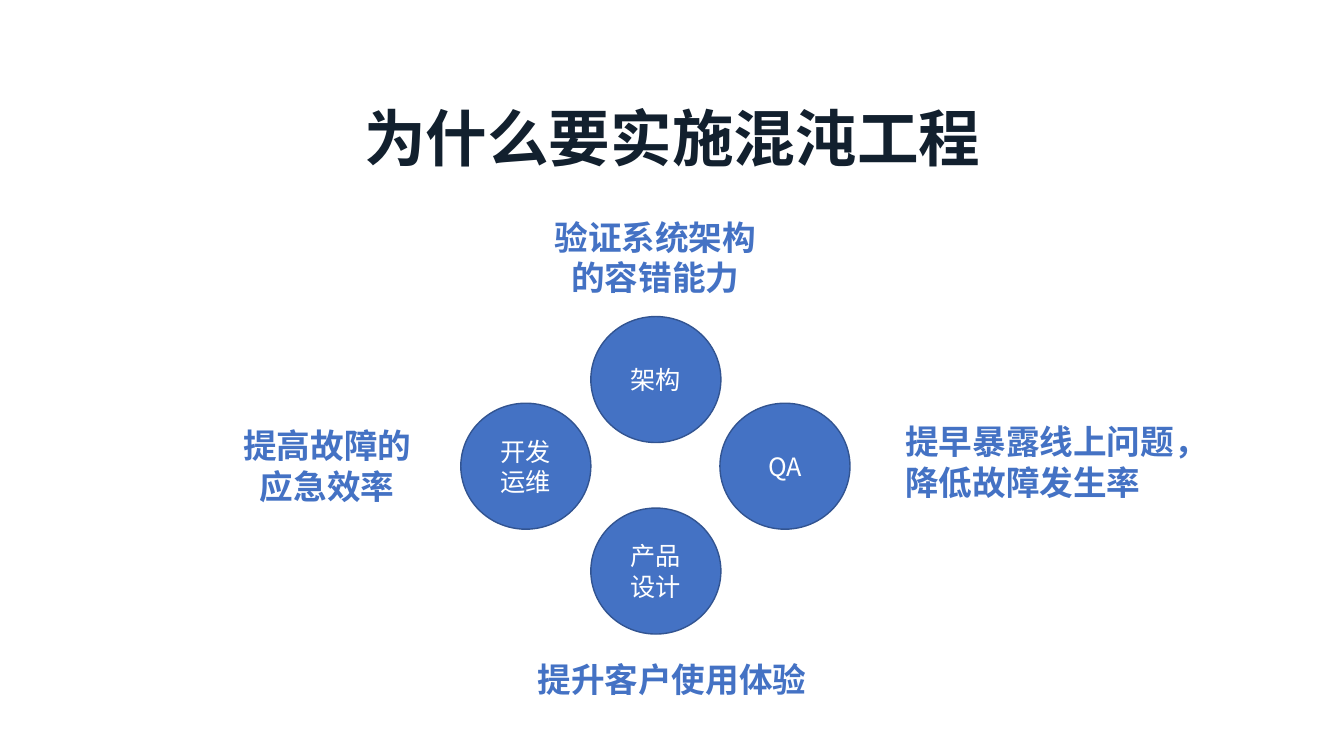
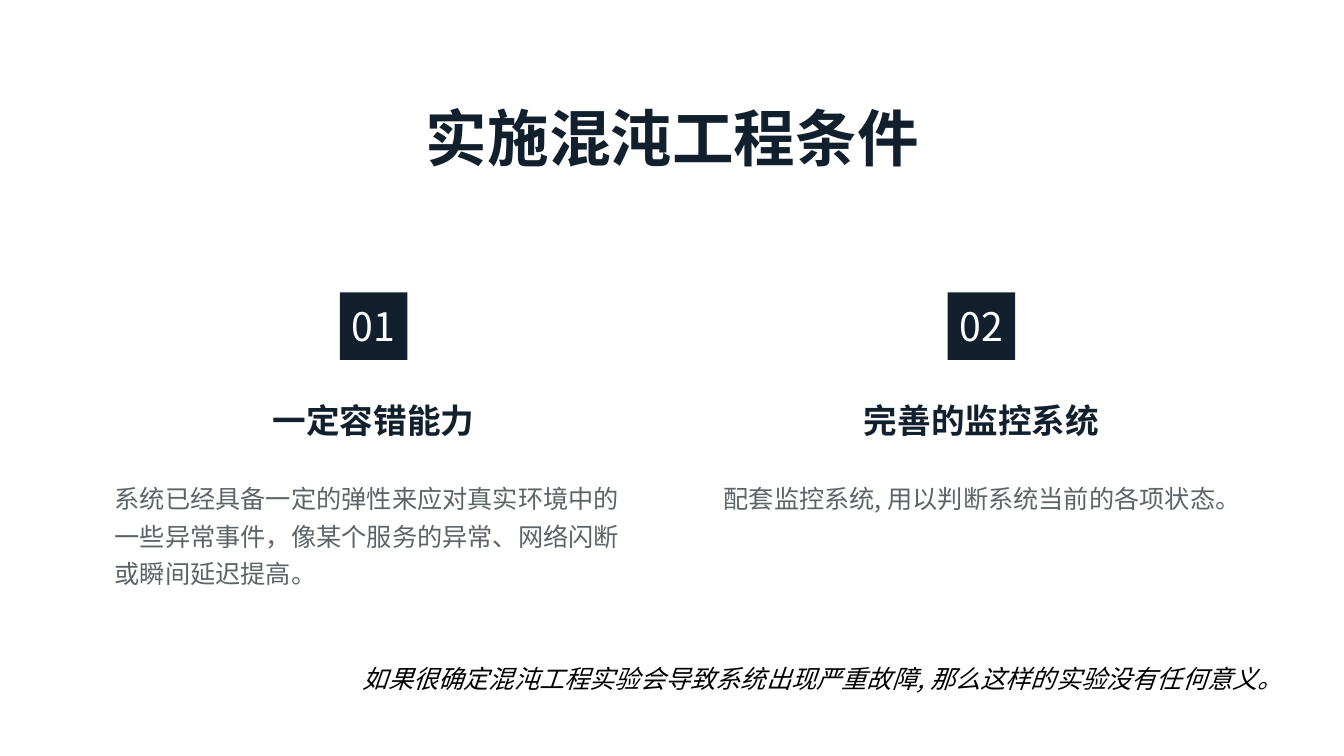
from dataclasses import dataclass

from lxml.etree import SubElement
from pptx import Presentation
from pptx.dml.color import RGBColor
from pptx.enum.shapes import MSO_SHAPE
from pptx.enum.text import MSO_ANCHOR, MSO_AUTO_SIZE, PP_ALIGN
from pptx.oxml.ns import qn
from pptx.presentation import Presentation as Deck
from pptx.shapes.autoshape import Shape
from pptx.slide import Slide
from pptx.util import Inches, Pt

FACE = "Noto Sans CJK SC"
COLORS = {
    "navy": "12202E",
    "blue": "4472C4",
    "edge": "325491",
    "gray": "5D6468",
    "white": "FFFFFF",
    "black": "000000",
}


@dataclass(frozen=True)
class Box:
    left: float
    top: float
    width: float
    height: float


@dataclass(frozen=True)
class Style:
    size: int
    color: str
    bold: bool = False
    italic: bool = False
    align: PP_ALIGN = PP_ALIGN.CENTER
    spacing: float = 1.0


@dataclass(frozen=True)
class Role:
    """A team's circle and the benefit written beside it."""
    name: str
    left: float
    top: float
    gain: str
    box: Box
    align: PP_ALIGN = PP_ALIGN.CENTER


@dataclass(frozen=True)
class Need:
    head: str
    body: str
    align: PP_ALIGN


TITLE_BOX = Box(2.44, 0.94, 8.46, 0.84)
TITLE = Style(44, "navy", bold=True)
DISC = Style(18, "white")
HEAD = Style(24, "navy", bold=True)
BADGE = Style(28, "white")
NOTE = Style(18, "black", italic=True, align=PP_ALIGN.LEFT)

ROLES = [
    Role("开发运维", 4.57, 4, "提⾼故障的应急效率", Box(2.19, 4.17, 2.11, 0.91)),
    Role("架构", 5.86, 3.14, "验证系统架构的容错能⼒", Box(5.38, 2.1, 2.24, 0.91)),
    Role("QA", 7.14, 4, "提早暴露线上问题，降低故障发生率",
         Box(8.88, 4.13, 2.93, 0.91), PP_ALIGN.LEFT),
    Role("产品设计", 5.86, 5.04, "提升客户使用体验", Box(5.2, 6.49, 2.93, 0.5)),
]
NEEDS = [
    Need("一定容错能力",
         "系统已经具备一定的弹性来应对真实环境中的一些异常事件，"
         "像某个服务的异常、网络闪断或瞬间延迟提高。", PP_ALIGN.LEFT),
    Need("完善的监控系统", "配套监控系统, 用以判断系统当前的各项状态。",
         PP_ALIGN.CENTER),
]


def rgb(name: str) -> RGBColor:
    return RGBColor.from_string(COLORS[name])


def place(box: Box) -> tuple[Inches, ...]:
    return tuple(Inches(v) for v in (box.left, box.top, box.width, box.height))


def write(shape: Shape, text: str, style: Style) -> None:
    frame = shape.text_frame
    frame.word_wrap = True
    frame.text = text
    para = frame.paragraphs[0]
    para.alignment = style.align
    para.line_spacing = style.spacing
    font = para.font
    font.size = Pt(style.size)
    font.bold = style.bold
    font.italic = style.italic
    font.color.rgb = rgb(style.color)
    font.name = FACE
    props = para._p.pPr.find(qn("a:defRPr"))
    SubElement(props, qn("a:ea")).set("typeface", FACE)


def add_text(slide: Slide, box: Box, text: str, style: Style) -> None:
    shape = slide.shapes.add_textbox(*place(box))
    write(shape, text, style)
    shape.text_frame.auto_size = MSO_AUTO_SIZE.SHAPE_TO_FIT_TEXT


def add_block(slide: Slide, kind: MSO_SHAPE, box: Box, text: str,
              style: Style, fill: str, edge: str | None = None) -> None:
    shape = slide.shapes.add_shape(kind, *place(box))
    shape.shadow.inherit = False
    shape.fill.solid()
    shape.fill.fore_color.rgb = rgb(fill)
    if edge:
        shape.line.color.rgb = rgb(edge)
        shape.line.width = Pt(1)
    else:
        shape.line.fill.background()
    write(shape, text, style)
    shape.text_frame.vertical_anchor = MSO_ANCHOR.MIDDLE


def add_slide(deck: Deck, text: str) -> Slide:
    """Add a title-only slide with the shared title style."""
    slide = deck.slides.add_slide(deck.slide_layouts[5])
    title = slide.shapes.title
    title.left, title.top, title.width, title.height = place(TITLE_BOX)
    write(title, text, TITLE)
    title.text_frame.auto_size = MSO_AUTO_SIZE.NONE
    title.text_frame.vertical_anchor = MSO_ANCHOR.TOP
    return slide


def draw_why(deck: Deck) -> None:
    slide = add_slide(deck, "为什么要实施混沌工程")
    for role in ROLES:
        add_block(slide, MSO_SHAPE.OVAL, Box(role.left, role.top, 1.29, 1.25),
                  role.name, DISC, "blue", "edge")
        add_text(slide, role.box, role.gain,
                 Style(24, "blue", bold=True, align=role.align))


def draw_needs(deck: Deck) -> None:
    slide = add_slide(deck, "实施混沌工程条件")
    for i, need in enumerate(NEEDS):
        left = 1.04 + i * 6.03
        add_block(slide, MSO_SHAPE.RECTANGLE, Box(left + 2.33, 2.9, 0.67, 0.67),
                  f"{i + 1:02}", BADGE, "navy")
        add_text(slide, Box(left + 1.2, 3.92, 2.93, 0.5), need.head, HEAD)
        add_text(slide, Box(left, 4.67, 5.34, 1.24), need.body,
                 Style(18, "gray", align=need.align, spacing=1.25))
    add_text(slide, Box(3.5, 6.53, 9.41, 0.4),
             "如果很确定混沌工程实验会导致系统出现严重故障, "
             "那么这样的实验没有任何意义。", NOTE)


def main() -> None:
    deck = Presentation()
    deck.slide_width, deck.slide_height = Inches(13.33), Inches(7.5)
    draw_why(deck)
    draw_needs(deck)
    deck.save("out.pptx")


if __name__ == "__main__":
    main()
